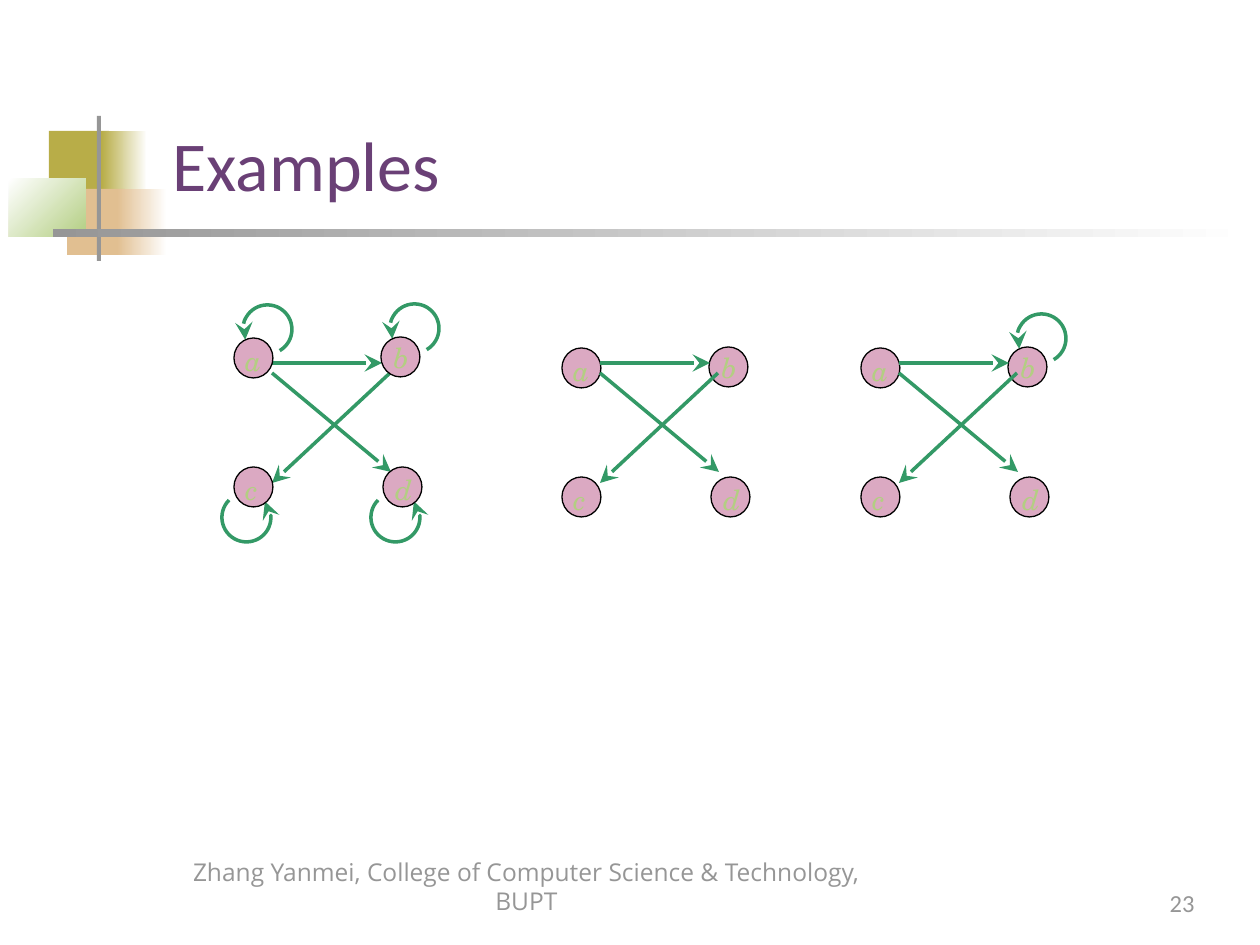
from typing import NamedTuple

from pptx import Presentation, util as u
from pptx.dml.color import RGBColor
from pptx.enum import shapes, text
from pptx.oxml.ns import qn
from lxml import etree

PX = u.Inches(1) // 126  # EMU in one px
COLORS = {
    "olive": "B8AD48", "sand": "E1BF91", "lime": "B3CE82", "grey": "969696",
    "white": "FFFFFF", "black": "000000", "title": "6A4076",
    "node": "DBA9C2", "edge": "339966",
}
NODE_W, NODE_H, LOOP, LABEL_H = 39, 40, 49, 47
EDGE_TOP = 363  # the edges of all graphs share one height


class Block(NamedTuple):
    x: int
    y: int
    w: int
    h: int
    start: str
    end: str = ""
    angle: int = 0


class Node(NamedTuple):
    name: str
    dx: int
    dy: int
    label_dx: int
    label_dy: int
    label_w: int
    upper: bool


class Edge(NamedTuple):
    x1: int
    y1: int
    x2: int
    y2: int


class Graph(NamedTuple):
    x: int
    y: int
    loops: str
    edges_first: bool


BLOCKS = [
    Block(49, 131, 60, 66, "olive"),
    Block(102, 131, 45, 66, "olive", "white"),
    Block(67, 189, 58, 66, "sand"),
    Block(117, 189, 50, 66, "sand", "white"),
    Block(9, 179, 77, 58, "white", "lime", 315),
    Block(97, 116, 4, 145, "grey"),
    Block(53, 229, 1198, 8, "grey", "white"),
]
NODES = [
    Node("a", 0, 0, -1, -1, 42, True),
    Node("b", 147, -1, 0, -3, 40, True),
    Node("c", 0, 129, -1, -1, 38, False),
    Node("d", 149, 129, 0, -1, 42, False),
]
EDGES = [Edge(38, 10, 157, 109), Edge(156, 10, 38, 120), Edge(38, 0, 148, 0)]
GRAPHS = [
    Graph(234, 338, "abcd", True),
    Graph(562, 348, "", False),
    Graph(861, 348, "b", False),
]


def px(*values: int) -> list[int]:
    return [v * PX for v in values]


def rgb(name: str) -> RGBColor:
    return RGBColor.from_string(COLORS[name])


def set_font(p, size: int, face: str, color: str, italic: bool = False) -> None:
    p.font.size = u.Pt(size)
    p.font.name = face
    p.font.italic = italic
    p.font.color.rgb = rgb(color)


def style_arrow(sp, end: str) -> None:
    """Give a line or arc the edge colour and a large stealth head at one end."""
    sp.line.color.rgb = rgb("edge")
    sp.line.width = u.Pt(2)
    spPr = sp.element.spPr
    etree.SubElement(spPr.find(qn("a:ln")), qn(f"a:{end}"),
                     type="stealth", w="lg", len="lg")


def add_block(parent, b: Block) -> None:
    sp = parent.add_shape(shapes.MSO_SHAPE.RECTANGLE, *px(b.x, b.y, b.w, b.h))
    sp.shadow.inherit = False
    sp.line.fill.background()
    if b.end:
        sp.fill.gradient()
        sp.fill.gradient_angle = b.angle
        for stop, color in zip(sp.fill.gradient_stops, (b.start, b.end)):
            stop.color.rgb = rgb(color)
    else:
        sp.fill.solid()
        sp.fill.fore_color.rgb = rgb(b.start)


def add_edges(parent, g: Graph) -> None:
    for e in EDGES:
        line = parent.add_connector(
            shapes.MSO_CONNECTOR.STRAIGHT,
            *px(g.x + e.x1, EDGE_TOP + e.y1, g.x + e.x2, EDGE_TOP + e.y2))
        style_arrow(line, "tailEnd")
        etree.SubElement(line.element.spPr, qn("a:effectLst"))


def add_loop(parent, g: Graph, n: Node) -> None:
    dx, dy, start, end = (9, -33, 155, 60) if n.upper else (-12, 26, 319, 225)
    sp = parent.add_shape(shapes.MSO_SHAPE.ARC,
                          *px(g.x + n.dx + dx, g.y + n.dy + dy, LOOP, LOOP))
    sp.shadow.inherit = False
    sp.fill.background()
    # arc angles are stored as 60000ths of a degree, adjustments as 100000ths
    sp.adjustments[0] = start * 0.6
    sp.adjustments[1] = end * 0.6
    style_arrow(sp, "headEnd")


def add_node(parent, g: Graph, n: Node) -> None:
    sp = parent.add_shape(shapes.MSO_SHAPE.OVAL,
                          *px(g.x + n.dx, g.y + n.dy, NODE_W, NODE_H))
    sp.shadow.inherit = False
    sp.fill.solid()
    sp.fill.fore_color.rgb = rgb("node")
    sp.line.color.rgb = rgb("black")
    sp.line.width = u.Pt(0.75)


def add_label(parent, g: Graph, n: Node) -> None:
    tf = parent.add_textbox(*px(g.x + n.dx + n.label_dx, g.y + n.dy + n.label_dy,
                                n.label_w, LABEL_H)).text_frame
    tf.word_wrap = False
    tf.auto_size = text.MSO_AUTO_SIZE.SHAPE_TO_FIT_TEXT
    p = tf.paragraphs[0]
    p.text = n.name
    set_font(p, 16, "TeX Gyre Schola", "lime", italic=True)


def add_graph(s, g: Graph) -> None:
    parent = s.shapes.add_group_shape().shapes
    if g.edges_first:
        add_edges(parent, g)
    for n in NODES:
        if n.name in g.loops:
            add_loop(parent, g, n)
    for n in NODES:
        add_node(parent, g, n)
    for n in NODES:
        add_label(parent, g, n)
    if not g.edges_first:
        add_edges(parent, g)


def add_footer(s, box: list[int], words: str, face: str, align) -> None:
    tf = s.shapes.add_textbox(*box).text_frame
    tf.word_wrap = True
    tf.vertical_anchor = text.MSO_ANCHOR.BOTTOM
    p = tf.paragraphs[0]
    p.text = words
    p.alignment = align
    set_font(p, 14, face, "grey")


def main() -> None:
    prs = Presentation()
    prs.slide_width, prs.slide_height = px(1260, 945)
    s = prs.slides.add_slide(prs.slide_layouts[5])

    ornament = s.shapes.add_group_shape().shapes
    for b in BLOCKS:
        add_block(ornament, b)

    title = s.shapes.title
    title.left, title.top, title.width, title.height = px(160, 54, 1074, 158)
    tf = title.text_frame
    tf.vertical_anchor = text.MSO_ANCHOR.BOTTOM
    p = tf.paragraphs[0]
    p.text = "Examples"
    p.alignment = text.PP_ALIGN.LEFT
    set_font(p, 40, "Calibri", "title")

    for g in GRAPHS:
        add_graph(s, g)

    add_footer(s, px(160, 859, 733, 63),
               "Zhang Yanmei, College of Computer Science & Technology, BUPT",
               "Open Sans", text.PP_ALIGN.CENTER)
    add_footer(s, px(945, 861, 262, 63), "23", "Calibri", text.PP_ALIGN.RIGHT)
    prs.save("out.pptx")


if __name__ == "__main__":
    main()
